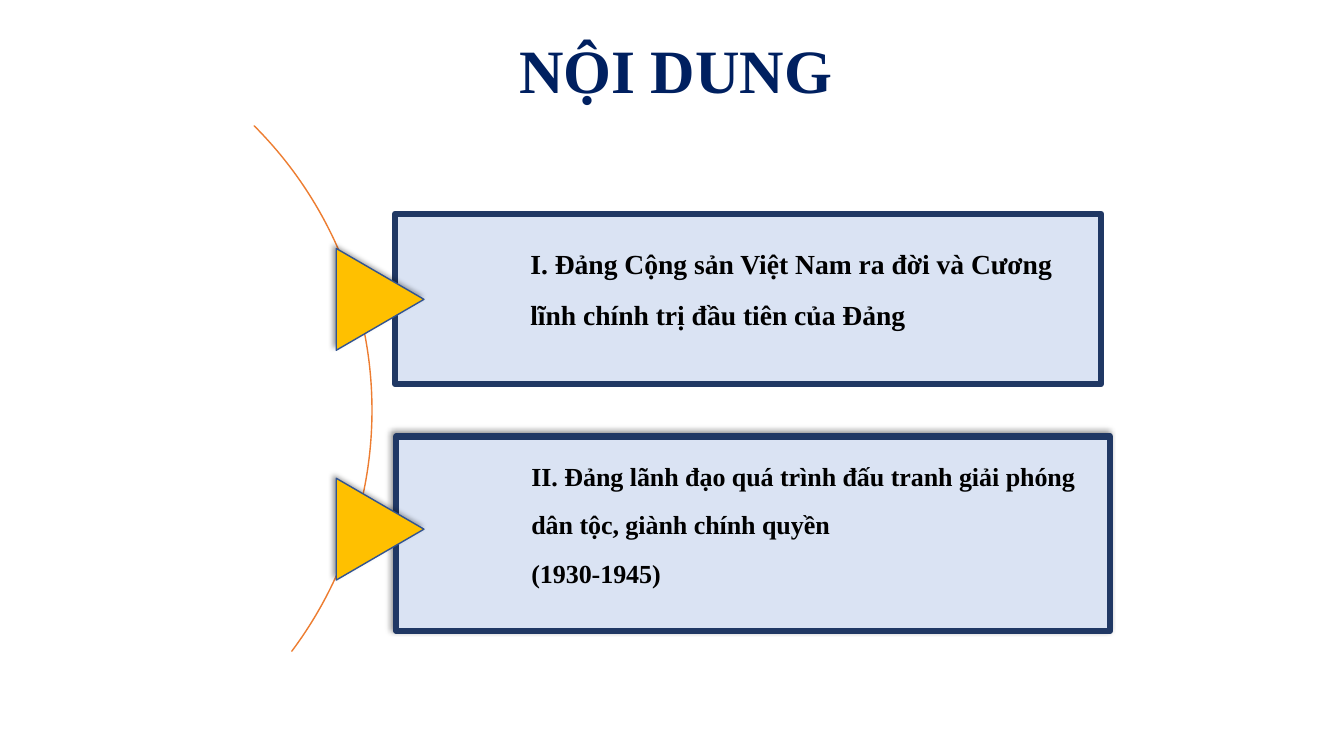
from lxml.etree import SubElement
from pptx import Presentation
from pptx.dml.color import RGBColor
from pptx.enum.shapes import MSO_SHAPE
from pptx.enum.text import MSO_ANCHOR, PP_ALIGN
from pptx.oxml.ns import qn
from pptx.util import Inches, Pt

NAVY = RGBColor(0x00, 0x20, 0x60)
BORDER = RGBColor(0x20, 0x38, 0x64)
PALE_BLUE = RGBColor(0xDA, 0xE3, 0xF3)
GOLD = RGBColor(0xFF, 0xC0, 0x00)
BLUE = RGBColor(0x32, 0x54, 0x91)
ORANGE = RGBColor(0xED, 0x7D, 0x31)
BLACK = RGBColor(0, 0, 0)

WIDTH, HEIGHT = 13.33, 7.5
FONT = "Times New Roman"
POINTER_BASE, POINTER_DEPTH = 1.01, 0.87
POINTER_X = 3.77
FIRST_ROW, ROW_STEP = 2.97, 2.28
TOPICS = [
    ("I. Đảng Cộng sản Việt Nam ra đời và Cương lĩnh chính trị đầu tiên của Đảng",
     34, (3.92, 2.12, 7, 1.69), False),
    ("II. Đảng lãnh đạo quá trình đấu tranh giải phóng dân tộc, "
     "giành chính quyền\n(1930-1945)",
     32, (3.93, 4.33, 7.08, 1.93), True),
]


def write(shape, text, size, color, align=PP_ALIGN.LEFT, left=0.1,
          raised=0, after=0):
    frame = shape.text_frame
    frame.word_wrap = True
    frame.vertical_anchor = MSO_ANCHOR.MIDDLE
    frame.margin_left = Inches(left)
    frame.margin_right = Inches(0.09)
    frame.margin_top = frame.margin_bottom = Inches(0.09)
    paragraph = frame.paragraphs[0]
    paragraph.text = text
    paragraph.alignment = align
    paragraph.line_spacing = 0.9
    paragraph.space_after = Pt(after)
    for run in paragraph.runs:
        run.font.name = FONT
        run.font.size = Pt(size)
        run.font.bold = True
        run.font.color.rgb = color
        if raised:
            run.font._element.set("baseline", str(raised * 1000))


def cast_shadow(shape):
    effects = shape._element.spPr.find(qn("a:effectLst"))
    shadow = SubElement(effects, qn("a:outerShdw"), blurRad=str(Pt(4)),
                        dist=str(Pt(3)), dir=str(225 * 60000),
                        algn="br", rotWithShape="0")
    color = SubElement(shadow, qn("a:srgbClr"), val="000000")
    SubElement(color, qn("a:alpha"), val="40000")


def add_outlined(slide, preset, box, line, weight, fill=None, shadow=False):
    shape = slide.shapes.add_shape(preset, *map(Inches, box))
    shape.shadow.inherit = False
    if fill is None:
        shape.fill.background()
    else:
        shape.fill.solid()
        shape.fill.fore_color.rgb = fill
    shape.line.color.rgb = line
    shape.line.width = Pt(weight)
    if shadow:
        cast_shadow(shape)
    return shape


def add_title(slide, box):
    title = slide.shapes.add_textbox(*map(Inches, box))
    write(title, "NỘI DUNG", 44, NAVY, align=PP_ALIGN.CENTER)


def add_arc(slide, box):
    arc = add_outlined(slide, MSO_SHAPE.BLOCK_ARC, box, ORANGE, 1)
    for index, value in enumerate((189, 22.09, 0)):
        arc.adjustments[index] = value


def add_topic(slide, box, text, size, shadow, pointer_y):
    panel = add_outlined(slide, MSO_SHAPE.RECTANGLE, box, BORDER, 4.5,
                         PALE_BLUE, shadow)
    SubElement(panel.line._get_or_add_ln(), qn("a:round"))
    write(panel, text, size, BLACK, left=1.34, raised=30, after=size * 0.35)
    pointer_box = (POINTER_X - POINTER_BASE / 2, pointer_y - POINTER_DEPTH / 2,
                   POINTER_BASE, POINTER_DEPTH)
    pointer = add_outlined(slide, MSO_SHAPE.ISOSCELES_TRIANGLE, pointer_box,
                           BLUE, 1, GOLD, True)
    pointer.rotation = 90


def add_contents(slide):
    add_title(slide, (2.39, 0, 8.62, 1.45))
    add_arc(slide, (-4.29, 0.08, 7.98, 7.98))
    for row, (text, size, box, shadow) in enumerate(TOPICS):
        add_topic(slide, box, text, size, shadow, FIRST_ROW + row * ROW_STEP)


def main():
    deck = Presentation()
    deck.slide_width, deck.slide_height = Inches(WIDTH), Inches(HEIGHT)
    add_contents(deck.slides.add_slide(deck.slide_layouts[6]))
    deck.save("out.pptx")


if __name__ == "__main__":
    main()
